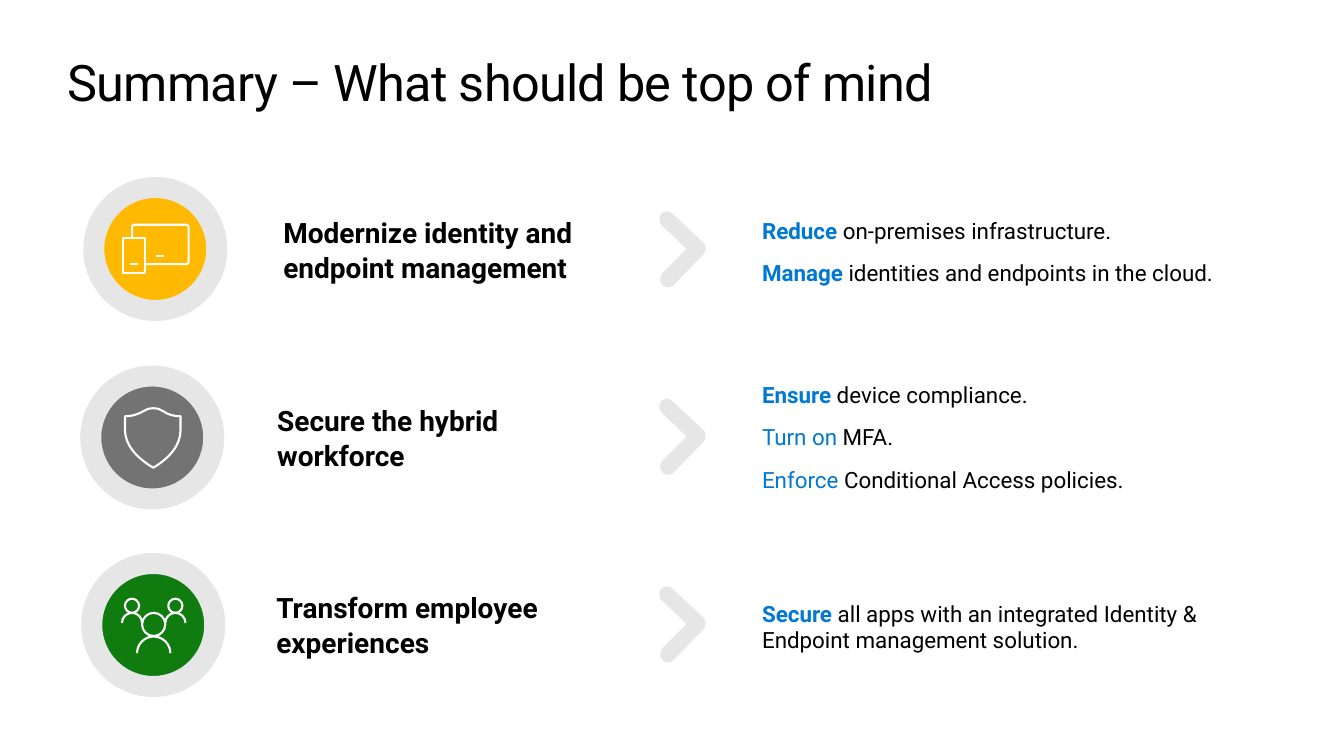
from lxml import etree
from pptx import Presentation
from pptx.dml.color import RGBColor
from pptx.enum.shapes import MSO_SHAPE
from pptx.enum.text import MSO_ANCHOR, MSO_AUTO_SIZE, PP_ALIGN
from pptx.oxml.ns import qn
from pptx.util import Inches, Pt

RECTANGLE, OVAL = MSO_SHAPE.RECTANGLE, MSO_SHAPE.OVAL
TOP, MIDDLE = MSO_ANCHOR.TOP, MSO_ANCHOR.MIDDLE
NO_AUTOFIT = MSO_AUTO_SIZE.NONE
LEFT = PP_ALIGN.LEFT

FONT = "Roboto"
BLACK, WHITE, BLUE, GREY = "000000", "FFFFFF", "0078D4", "E6E6E6"
CIRCLE_SIZE = 1.22
ARC_HANDLE = 0.55
FRAME = {"word_wrap": True, "auto_size": NO_AUTOFIT}

CHEVRON = [[
    (6.54, 2.17), (6.54, 2.15, 6.55, 2.13, 6.56, 2.12), (6.59, 2.09, 6.64, 2.09, 6.67, 2.12),
    (6.98, 2.41), (6.99, 2.42, 7, 2.44, 7, 2.46), (7, 2.48, 6.99, 2.51, 6.98, 2.52),
    (6.69, 2.82), (6.66, 2.86, 6.61, 2.86, 6.57, 2.83), (6.54, 2.8, 6.54, 2.75, 6.57, 2.71),
    (6.81, 2.47), (6.56, 2.23), (6.55, 2.22, 6.54, 2.2, 6.54, 2.17),
]]
DEVICES = [
    [(1.44, 2.71), (1.22, 2.71), (1.22, 2.36), (1.44, 2.36), (1.44, 2.71)],
    [(1.29, 2.62), (1.37, 2.62)],
    [(1.55, 2.54), (1.63, 2.54)],
    [(1.44, 2.62), (1.85, 2.62), (1.86, 2.62, 1.87, 2.61, 1.87, 2.6),
     (1.87, 2.25), (1.87, 2.24, 1.86, 2.23, 1.85, 2.23),
     (1.33, 2.23), (1.32, 2.23, 1.31, 2.24, 1.31, 2.25), (1.31, 2.36)],
]
SHIELD = [[
    (1.79, 4.27), (1.79, 4.41, 1.69, 4.54, 1.52, 4.64), (1.35, 4.54, 1.24, 4.41, 1.24, 4.27),
    (1.24, 4.13), (1.31, 4.13, 1.37, 4.11, 1.42, 4.08), (1.45, 4.06, 1.48, 4.05, 1.52, 4.05),
    (1.56, 4.05, 1.59, 4.06, 1.62, 4.08), (1.66, 4.11, 1.72, 4.13, 1.79, 4.13), (1.79, 4.27),
]]


def half_circle(x, y, radius):
    handle = radius * ARC_HANDLE
    return [(x + radius, y),
            (x + radius, y - handle, x + handle, y - radius, x, y - radius),
            (x - handle, y - radius, x - radius, y - handle, x - radius, y)]


def person(x, head_y, head_radius, body_y, body_radius):
    upper = half_circle(x, head_y, head_radius)
    lower = half_circle(x, head_y, -head_radius)
    return [upper + lower[1:], half_circle(x, body_y, body_radius)]


PEOPLE = (person(1.525, 6.195, 0.115, 6.48, 0.165)
          + person(1.31, 6.01, 0.07, 6.18, 0.1)
          + person(1.74, 6.01, 0.07, 6.18, 0.1))

ROWS = [
    {"label": "Modernize identity and endpoint management",
     "label_at": (2.61, 1.98, 3.36, 0.98),
     "circle_at": (0.93, 1.86), "color": "FFB900",
     "icon": DEVICES, "icon_at": (1.22, 2.23, 0.65, 0.48),
     "actions_at": (7.46, 2.1, 4.81, 0.95),
     "actions": [("Reduce ", "on-premises infrastructure.", True),
                 ("Manage ", "identities and endpoints in the cloud.", True)]},
    {"label": "Secure the hybrid\nworkforce",
     "label_at": (2.55, 3.85, 3.4, 0.98),
     "circle_at": (0.9, 3.73), "color": "737373",
     "icon": SHIELD, "icon_at": (1.24, 4.05, 0.55, 0.59),
     "actions_at": (7.46, 3.73, 3.94, 0.95),
     "actions": [("Ensure ", "device compliance.", True),
                 ("Turn on ", "MFA.", False),
                 ("Enforce", " Conditional Access policies.", False)]},
    {"label": "Transform employee experiences",
     "label_at": (2.54, 5.7, 3.39, 0.98),
     "circle_at": (0.91, 5.59), "color": "107C10",
     "icon": PEOPLE, "icon_at": (1.21, 5.94, 0.63, 0.54),
     "actions_at": (7.46, 5.9, 5.08, 0.64),
     "actions": [("Secure ", "all apps with an integrated Identity & "
                  "Endpoint management solution.", True)]},
]


def rgb(color):
    return RGBColor.from_string(color)


def assign(target, values):
    for name, value in values.items():
        setattr(target, name, value)


def set_font(span, size, color, bold=False):
    assign(span.font, {"name": FONT, "size": Pt(size), "bold": bold})
    span.font.color.rgb = rgb(color)


def paint(shape, fill=None, line=None, width=0):
    shape.shadow.inherit = False
    if fill:
        shape.fill.solid()
        shape.fill.fore_color.rgb = rgb(fill)
    else:
        shape.fill.background()
    if line:
        shape.line.color.rgb = rgb(line)
        shape.line.width = Pt(width)
    else:
        shape.line.fill.background()


def add_outline(shapes, contours, at):
    left, top, width, height = at
    builder = shapes.build_freeform(Inches(left), Inches(top))
    builder.add_line_segments([(Inches(left + width), Inches(top + height))], close=False)
    shape = builder.convert_to_shape()
    outline = shape._element.find(".//" + qn("a:path"))
    for child in list(outline):
        outline.remove(child)
    for contour in contours:
        for index, segment in enumerate(contour):
            tag = "a:cubicBezTo" if len(segment) == 6 else "a:lnTo" if index else "a:moveTo"
            step = etree.SubElement(outline, qn(tag))
            for x, y in zip(segment[::2], segment[1::2]):
                etree.SubElement(step, qn("a:pt"), x=str(Inches(x - left)),
                                 y=str(Inches(y - top)))
        if contour[0] == contour[-1][-2:]:
            etree.SubElement(outline, qn("a:close"))
    return shape


def add_title(page, text):
    title = page.shapes.title
    assign(title, {"left": Inches(0.67), "top": Inches(0.51),
                   "width": Inches(12.05), "height": Inches(1.21)})
    frame = title.text_frame
    assign(frame, {**FRAME, "vertical_anchor": TOP, "margin_left": 0, "margin_right": 0,
                   "margin_top": 0, "margin_bottom": 0})
    para = frame.paragraphs[0]
    assign(para, {"text": text, "alignment": LEFT, "line_spacing": 1.0})
    span = para.runs[0]
    set_font(span, 36, BLACK)
    span.font._element.set("spc", "-50")


def add_badge(page, at, color, icon, icon_at):
    group = page.shapes.add_group_shape()
    size = Inches(CIRCLE_SIZE)
    circle = group.shapes.add_shape(OVAL, *map(Inches, at), size, size)
    paint(circle, color, GREY, 15)
    paint(add_outline(group.shapes, icon, icon_at), line=WHITE, width=1.5)


def add_label(page, at, text):
    box = page.shapes.add_shape(RECTANGLE, *map(Inches, at))
    paint(box, WHITE)
    frame = box.text_frame
    assign(frame, {**FRAME, "vertical_anchor": MIDDLE, "margin_left": Inches(0.2),
                   "margin_right": Inches(0.1), "margin_top": 0, "margin_bottom": 0})
    para = frame.paragraphs[0]
    assign(para, {"text": text, "alignment": LEFT, "line_spacing": Pt(25)})
    for span in para.runs:
        set_font(span, 20, BLACK, True)


def add_actions(page, at, actions):
    frame = page.shapes.add_textbox(*map(Inches, at)).text_frame
    assign(frame, FRAME)
    for index, (verb, rest, bold) in enumerate(actions):
        para = frame.add_paragraph() if index else frame.paragraphs[0]
        assign(para, {"space_before": Pt(6.1 if index else 0), "space_after": Pt(5)})
        for text, color, weight in ((verb, BLUE, bold), (rest, BLACK, False)):
            span = para.add_run()
            span.text = text
            set_font(span, 16, color, weight)


def main():
    deck = Presentation()
    assign(deck, {"slide_width": Inches(13.33), "slide_height": Inches(7.5)})
    page = deck.slides.add_slide(deck.slide_layouts[5])
    add_title(page, "Summary – What should be top of mind")
    for row in ROWS:
        add_label(page, row["label_at"], row["label"])
        add_actions(page, row["actions_at"], row["actions"])
    for row in ROWS:
        add_badge(page, row["circle_at"], row["color"], row["icon"], row["icon_at"])
    for index in range(len(ROWS)):
        chevron = add_outline(page.shapes, CHEVRON, (6.54, 2.1, 0.46, 0.75))
        chevron.top = Inches(2.1 + 1.86 * index)
        paint(chevron, GREY)
    deck.save("out.pptx")


if __name__ == "__main__":
    main()
